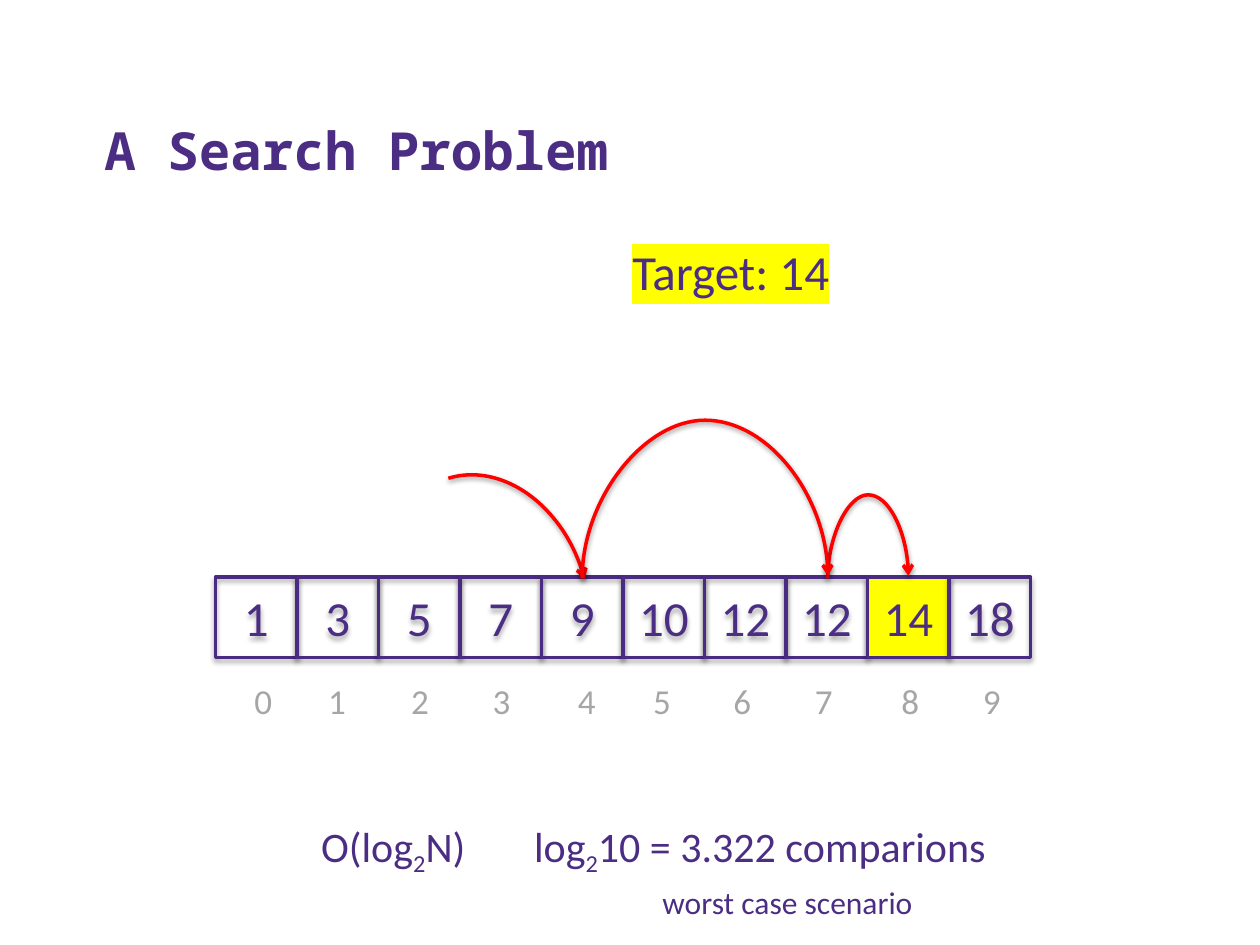
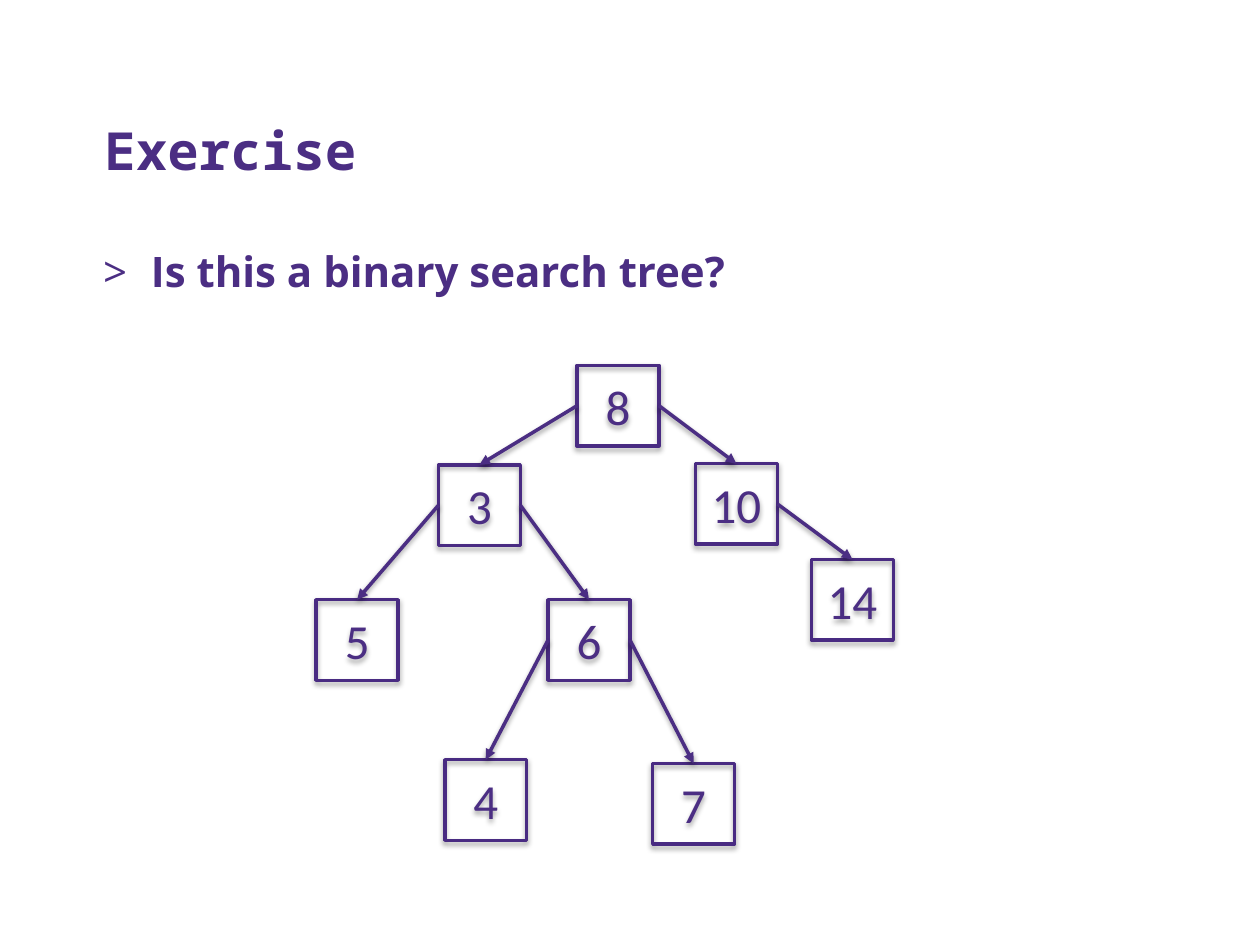
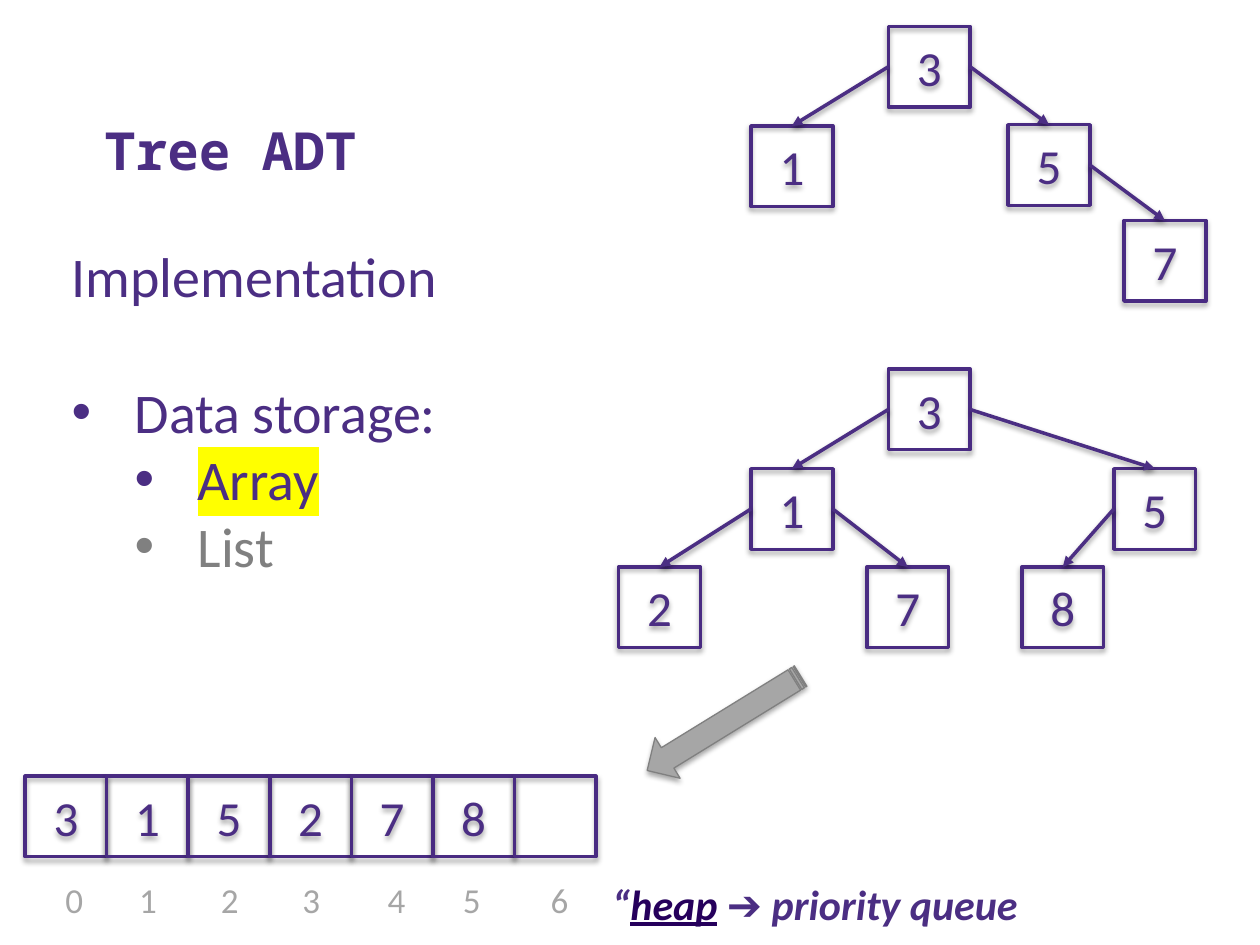
import lxml.etree
import pptx
import pptx.dml.color
import pptx.enum.shapes
import pptx.enum.text
import pptx.oxml.ns
import pptx.util

Inches = pptx.util.Inches
Pt = pptx.util.Pt
qn = pptx.oxml.ns.qn
SHAPE = pptx.enum.shapes.MSO_SHAPE
CONNECTOR = pptx.enum.shapes.MSO_CONNECTOR
ANCHOR = pptx.enum.text.MSO_ANCHOR

PURPLE = "4B2E83"
BORDER = "492B82"
INDEX_GREY = "A6A6A6"
DARK_GREY = "808080"
YELLOW = "FFFF00"
RED = "FF0000"
LINK = "26005C"
BODY_FONT = "Calibri"
CELL_WIDTH = 0.65
CELL_HEIGHT = 0.64


def colour(value):
    """Turn a hex string into a colour."""
    return pptx.dml.color.RGBColor.from_string(value)


def add_element(parent, tag, **attributes):
    """Append a drawing element to its parent."""
    return lxml.etree.SubElement(parent, qn(tag), attributes)


def add_run(paragraph, text, size, tint=PURPLE, font=BODY_FONT, bold=False,
            italic=False, underline=False, highlight=None, subscript=False):
    """Add one formatted run to a paragraph."""
    run = paragraph.add_run()
    run.text = text
    run.font.size = Pt(size)
    run.font.name = font
    run.font.bold = bold
    run.font.italic = italic
    run.font.underline = underline
    run.font.color.rgb = colour(tint)
    properties = run.font._element
    if subscript:
        properties.set("baseline", "-25000")
    if highlight:
        marker = lxml.etree.Element(qn("a:highlight"))
        add_element(marker, "a:srgbClr", val=highlight)
        properties.find(qn("a:solidFill")).addnext(marker)


def add_text(slide, box, runs, size, wrap=False, anchor=ANCHOR.TOP):
    """Add a text box with one paragraph of runs and return its frame."""
    shape = slide.shapes.add_textbox(*map(Inches, box))
    frame = shape.text_frame
    frame.word_wrap = wrap
    frame.vertical_anchor = anchor
    for text, options in runs:
        add_run(frame.paragraphs[0], text, size, **options)
    return frame


def set_bullet(paragraph, symbol, font, margin, hanging):
    """Give a paragraph a bullet with a hanging indent."""
    properties = paragraph._p.get_or_add_pPr()
    properties.set("marL", str(Inches(margin)))
    properties.set("indent", str(-Inches(hanging)))
    add_element(properties, "a:buFont", typeface=font)
    add_element(properties, "a:buChar", char=symbol)


def add_shadow(shape, opacity=35, distance=1.8):
    """Drop a soft shadow straight below a shape or line."""
    effects = add_element(shape._element.spPr, "a:effectLst")
    shadow = add_element(effects, "a:outerShdw", blurRad=str(Pt(3.1)), dist=str(Pt(distance)),
                         dir="5400000", rotWithShape="0")
    black = add_element(shadow, "a:srgbClr", val="000000")
    add_element(black, "a:alpha", val=str(opacity * 1000))


def style_arrow(shape, tint, head):
    """Style a line or arc as a shadowed arrow."""
    shape.line.color.rgb = colour(tint)
    shape.line.width = Pt(2)
    add_element(shape.line._get_or_add_ln(), "a:tailEnd", type=head)
    add_shadow(shape, 38, 1.6)


def add_preset(shapes, preset, box, fill, border, line_width):
    """Add a shadowed preset shape with an optional fill."""
    shape = shapes.add_shape(preset, *map(Inches, box))
    if fill:
        shape.fill.solid()
        shape.fill.fore_color.rgb = colour(fill)
    else:
        shape.fill.background()
    shape.line.color.rgb = colour(border)
    shape.line.width = Pt(line_width)
    add_shadow(shape)
    return shape


def add_cell(shapes, left, top, value, width=CELL_WIDTH, fill=None):
    """Add one square holding a value."""
    shape = add_preset(shapes, SHAPE.RECTANGLE, (left, top, width, CELL_HEIGHT), fill, BORDER, 2)
    shape.text_frame.vertical_anchor = ANCHOR.MIDDLE
    if value:
        paragraph = shape.text_frame.paragraphs[0]
        paragraph.alignment = pptx.enum.text.PP_ALIGN.CENTER
        add_run(paragraph, value, 28)


def add_array(slide, left, top, width, values, index_offsets, found=None):
    """Draw a row of cells with their indices underneath."""
    pitch = width / len(values)
    for index, (value, offset) in enumerate(zip(values, index_offsets)):
        cell_left = left + index * pitch
        add_cell(slide.shapes, cell_left, top, value, pitch, YELLOW if index == found else None)
        add_text(slide, (cell_left + offset, top + 0.76, 0.34, 0.44),
                 [(str(index), {"tint": INDEX_GREY})], 20)


def add_tree(shapes, left, top, nodes):
    """Draw a tree from values mapped to an offset and a parent value."""
    for value, (x, y, parent) in nodes.items():
        add_cell(shapes, left + x, top + y, value)
        if parent:
            parent_x, parent_y, _ = nodes[parent]
            side = CELL_WIDTH if x > parent_x else 0
            edge = shapes.add_connector(
                CONNECTOR.STRAIGHT,
                Inches(left + parent_x + side), Inches(top + parent_y + CELL_HEIGHT / 2),
                Inches(left + x + CELL_WIDTH / 2), Inches(top + y))
            style_arrow(edge, PURPLE, "triangle")


def add_jump(slide, start, end, base, height):
    """Draw a curved arrow that rises over the cells between two points."""
    rise = 0.02
    middle, half = (start + end) / 2, (end - start) / 2
    jump = slide.shapes.add_connector(
        CONNECTOR.CURVE, Inches(middle + rise / 2), Inches(base + half),
        Inches(middle - rise / 2), Inches(base - half))
    jump._element.spPr.find(qn("a:xfrm")).set("rot", "5400000")
    geometry = jump._element.spPr.find(qn("a:prstGeom"))
    adjustments = geometry.find(qn("a:avLst"))
    if adjustments is None:
        adjustments = add_element(geometry, "a:avLst")
    add_element(adjustments, "a:gd", name="adj1", fmla=f"val {round(height / rise * 100000)}")
    style_arrow(jump, RED, "arrow")


def add_entry_arc(slide, box):
    """Draw the arc that enters the array at its first probe."""
    arc = slide.shapes.add_shape(SHAPE.ARC, *map(Inches, box))
    arc.adjustments[0] = 162
    arc.adjustments[1] = 2.45
    arc.rotation = 342.7
    arc.fill.background()
    style_arrow(arc, RED, "arrow")


def add_titled_slide(presentation, title):
    """Add a blank slide with the shared title style."""
    slide = presentation.slides.add_slide(presentation.slide_layouts[6])
    add_text(slide, (0.73, 0.41, 8.95, 1.08),
             [(title, {"font": "Noto Sans Mono", "bold": True})], 30, True, ANCHOR.BOTTOM)
    return slide


def build_search_slide(presentation):
    """Build the binary search walk through a sorted array."""
    slide = add_titled_slide(presentation, "A Search Problem")
    add_text(slide, (4.92, 1.87, 1.78, 0.57), [("Target: 14", {"highlight": YELLOW})], 28)
    add_array(slide, 1.71, 4.58, 6.47,
              ["1", "3", "5", "7", "9", "10", "12", "12", "14", "18"],
              [0.21, 0.15, 0.16, 0.16, 0.19, 0.14, 0.13, 0.13, 0.17, 0.17], found=8)
    add_entry_arc(slide, (3.07, 3.75, 1.59, 2.06))
    add_jump(slide, 6.57, 7.21, 4.58, 0.66)
    add_jump(slide, 4.62, 6.57, 4.58, 1.25)
    base_two = ("2", {"subscript": True})
    add_text(slide, (2.45, 6.46, 1.37, 0.5), [("O(log", {}), base_two, ("N)", {})], 24)
    add_text(slide, (4.14, 6.46, 3.83, 0.5),
             [("log", {}), base_two, ("10 = 3.322 comparions", {})], 24)
    add_text(slide, (5.16, 6.96, 2.26, 0.4), [("worst case scenario", {})], 18)


def build_exercise_slide(presentation):
    """Build the question about a binary search tree."""
    slide = add_titled_slide(presentation, "Exercise")
    frame = add_text(slide, (0.72, 1.9, 8.96, 4.39),
                     [("Is this a binary search tree?", {"font": "Open Sans", "bold": True})],
                     24, True)
    set_bullet(frame.paragraphs[0], ">", "Open Sans", 0.38, 0.38)
    add_tree(slide.shapes, 2.51, 2.9, {
        "8": (2.07, 0, None),
        "3": (0.97, 0.79, "8"),
        "10": (3.01, 0.78, "8"),
        "14": (3.93, 1.54, "10"),
        "5": (0, 1.86, "3"),
        "6": (1.84, 1.86, "3"),
        "4": (1.02, 3.13, "6"),
        "7": (2.67, 3.16, "6"),
    })


def add_storage_list(slide, box):
    """List the ways to store the tree."""
    frame = add_text(slide, box, [("Implementation", {})], 32)
    items = [("Data storage:", 0, {}),
             ("Array", 1, {"highlight": YELLOW}),
             ("List", 1, {"tint": DARK_GREY})]
    for text, level, options in items:
        paragraph = frame.add_paragraph()
        paragraph.level = level
        if level == 0:
            paragraph.space_before = Pt(39)
        set_bullet(paragraph, "•", "Arial", 0.5 * (level + 1), 0.5)
        add_run(paragraph, text, 32, **options)


def build_tree_slide(presentation):
    """Build the tree data type and its array storage."""
    slide = add_titled_slide(presentation, "Tree ADT")
    add_storage_list(slide, (0.47, 1.87, 3.14, 3.33))
    add_tree(slide.shapes.add_group_shape().shapes, 5.96, 0.21, {
        "3": (1.09, 0, None),
        "1": (0, 0.79, "3"),
        "5": (2.04, 0.78, "3"),
        "7": (2.96, 1.54, "5"),
    })
    add_tree(slide.shapes.add_group_shape().shapes, 4.91, 2.93, {
        "3": (2.14, 0, None),
        "1": (1.05, 0.79, "3"),
        "5": (3.93, 0.79, "3"),
        "8": (3.2, 1.57, "5"),
        "2": (0, 1.57, "1"),
        "7": (1.97, 1.57, "1"),
    })
    add_array(slide, 0.2, 6.16, 4.53, ["3", "1", "5", "2", "7", "8", ""],
              [0.22, 0.16, 0.16, 0.16, 0.19, 0.14, 0.19])
    arrow = add_preset(slide.shapes, SHAPE.STRIPED_RIGHT_ARROW, (5.03, 5.55, 1.43, 0.38),
                       INDEX_GREY, DARK_GREY, 0.75)
    arrow.rotation = 148.4
    emphasis = {"bold": True, "italic": True}
    add_text(slide, (4.76, 6.92, 3.52, 0.5),
             [("“", emphasis),
              ("heap", {**emphasis, "tint": LINK, "underline": True}),
              (" ➔ priority queue", emphasis)], 24)


def main():
    """Build and save the presentation."""
    presentation = pptx.Presentation()
    presentation.slide_width = Inches(10)
    presentation.slide_height = Inches(7.5)
    build_search_slide(presentation)
    build_exercise_slide(presentation)
    build_tree_slide(presentation)
    presentation.save("out.pptx")


if __name__ == "__main__":
    main()
